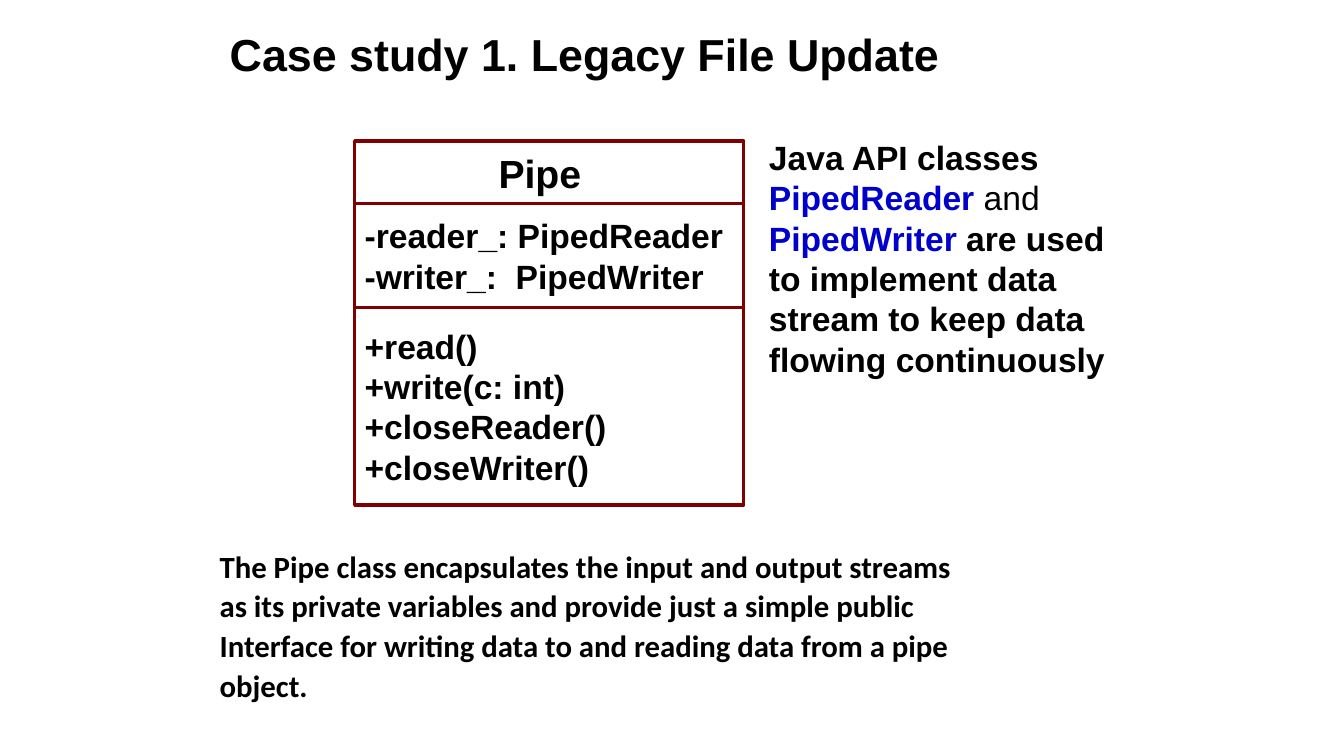
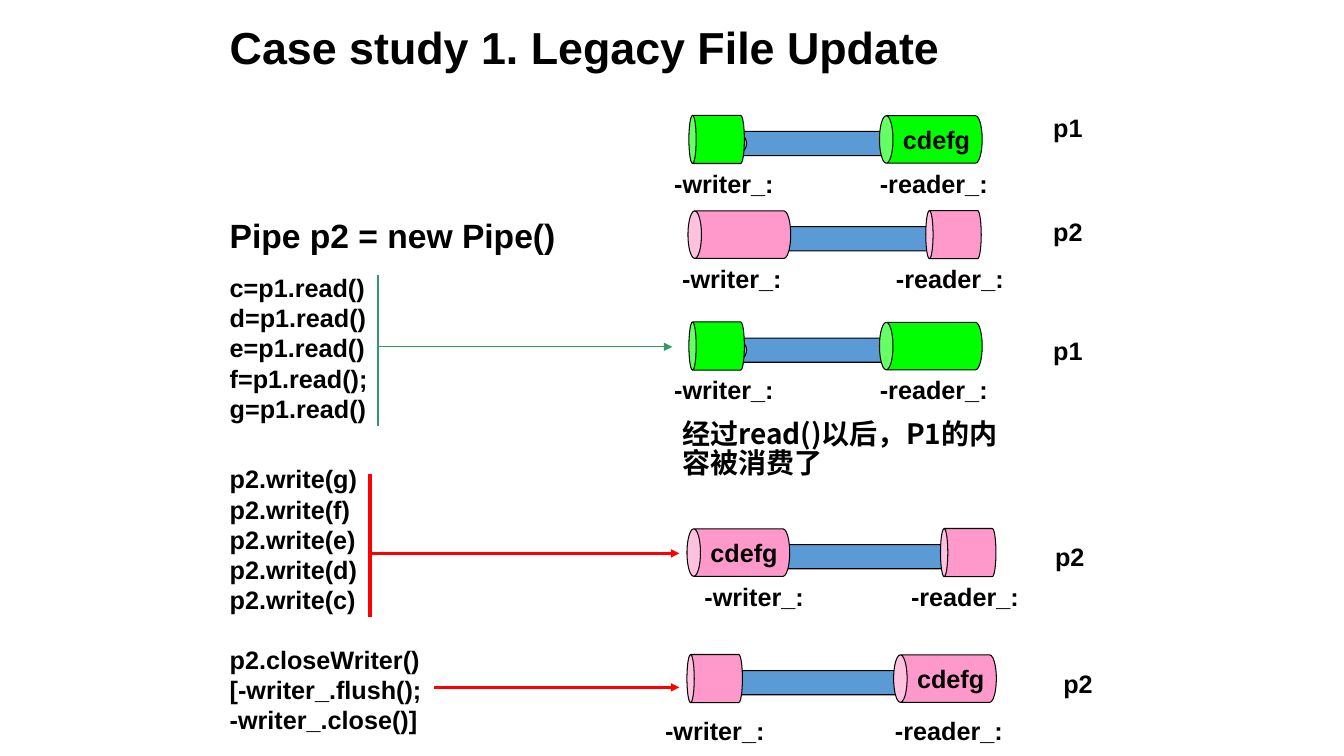
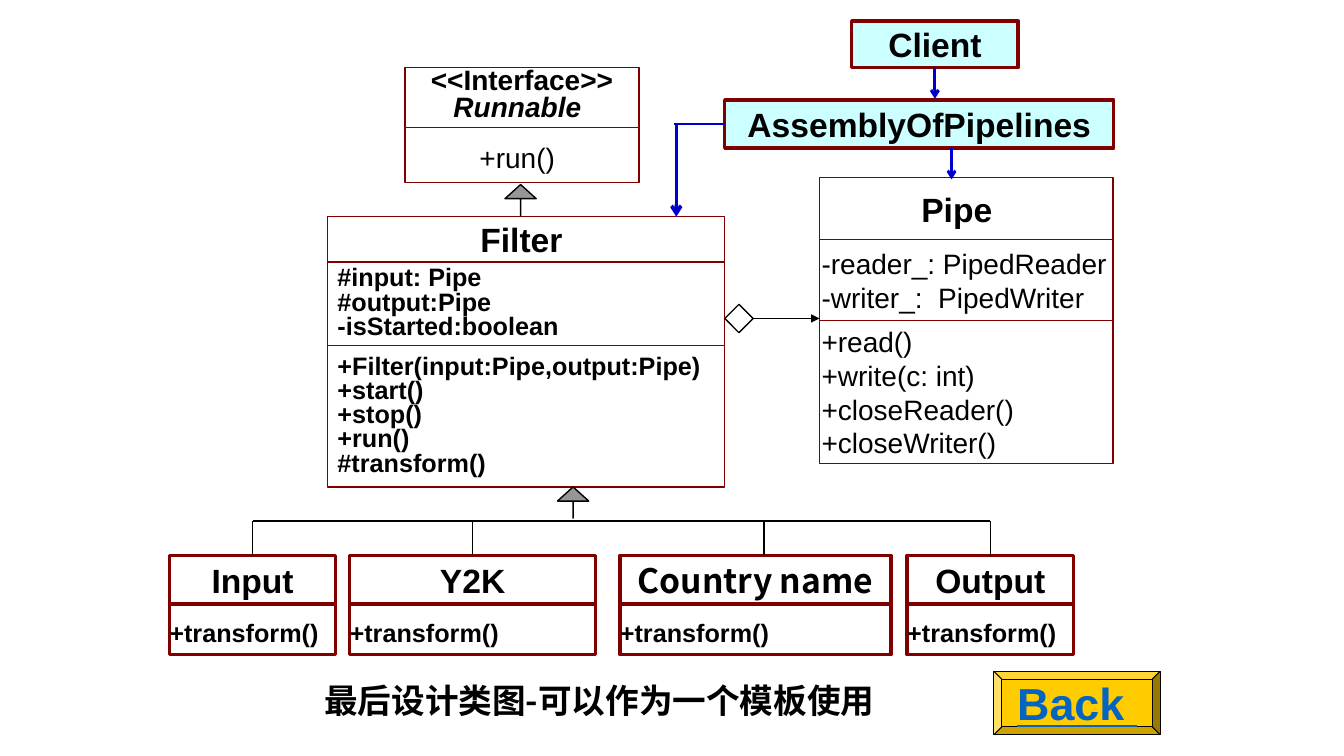
from lxml import etree
from pptx import Presentation
from pptx.dml.color import RGBColor
from pptx.enum.shapes import MSO_CONNECTOR, MSO_SHAPE
from pptx.enum.text import MSO_ANCHOR, PP_ALIGN
from pptx.oxml.ns import qn
from pptx.util import Pt

RECTANGLE, CAN, BEVEL = MSO_SHAPE.RECTANGLE, MSO_SHAPE.CAN, MSO_SHAPE.BEVEL
DIAMOND, UP_ARROW = MSO_SHAPE.DIAMOND, MSO_SHAPE.UP_ARROW
STRAIGHT = MSO_CONNECTOR.STRAIGHT
LEFT, CENTER = PP_ALIGN.LEFT, PP_ALIGN.CENTER
TOP, MIDDLE = MSO_ANCHOR.TOP, MSO_ANCHOR.MIDDLE
TOP_SITE, LEFT_SITE, BOTTOM_SITE, RIGHT_SITE = range(4)

COLORS = {
    "text": "000000", "white": "FFFFFF", "frame": "800000", "blue": "0000CC",
    "link": "0563C1", "pipe": "5B9BD5", "p1": "00FF00", "p2": "FF99CC",
    "green": "339966", "red": "FF0000", "gray": "969696", "cyan": "CCFFFF",
    "gold": "FFCC00",
}
ARIAL, CALIBRI, CJK = "Arial", "Calibri", "Noto Sans CJK SC"
INSETS = (7.2, 3.6, 7.2, 3.6)

TITLE = "Case study 1. Legacy File Update"
FIELDS = ["-reader_: PipedReader", "-writer_:  PipedWriter"]
METHODS = ["+read()", "+write(c: int)", "+closeReader()", "+closeWriter()"]

# Slide 1
SUMMARY = [
    "The Pipe class encapsulates the input and output streams",
    "as its private variables and provide just a simple public",
    "Interface for writing data to and reading data from a pipe",
    "object.",
]
API_NOTE = [
    "Java API classes",
    [("PipedReader", {"color": "blue"}), (" and ", {"bold": False}),
     ("PipedWriter ", {"color": "blue"}),
     ("are used to implement data stream to keep data flowing continuously", {})],
]
PIPE_CLASS = [
    (44.6, ["Pipe"], {"size": 28, "align": CENTER, "insets": (7.2, 3.6, 20.5, 3.6)}),
    (74.2, FIELDS, {"size": 24}),
    (141.1, METHODS, {"size": 24}),
]

# Slide 2
CODE_BLOCKS = [  # top, width, height, size, lines
    (149.8, 247, 36, 24, ["Pipe p2 = new Pipe()"]),
    (190.8, 142, 115, 18,
     ["c=p1.read()", "d=p1.read()", "e=p1.read()", "f=p1.read();", "g=p1.read()"]),
    (327.6, 113, 115, 18, [f"p2.write({letter})" for letter in "gfedc"]),
    (456.5, 181.4, 72, 18, ["p2.closeWriter()", "[-writer_.flush();", "-writer_.close()]"]),
]
CODE_LINES = [  # start, end, color, width, arrowhead
    ((270, 196.6), (270, 304.6), "green", 0.75, None),
    ((270, 247.7), (480.2, 247.7), "green", 0.75, "triangle"),
    ((264.2, 338.4), (264.2, 440.6), "red", 3, None),
    ((264.2, 395.3), (485.3, 395.3), "red", 2, "triangle"),
    ((310.3, 491), (485.3, 491), "red", 2, "triangle"),
]
P1_CENTERS, P1_LABELS = (511.9, 587.5, 664.9), (474.5, 621.4)
PIPES = [  # name, middle, (writer, pipe, reader) centers, label lefts, label top,
           # name position, long end, buffered text
    ("p1", 99.6, P1_CENTERS, P1_LABELS, 116.6, (745.2, 77), "reader", "cdefg"),
    ("p2", 167.6, (528.1, 616.3, 681.1), (480.2, 632.9), 184.3, (745.2, 151.2),
     "writer", ""),
    ("p1", 247.2, P1_CENTERS, P1_LABELS, 264.2, (745.2, 236.2), "reader", ""),
    ("p2", 394.7, (527.4, 609.8, 691.6), (496.1, 643.7), 411.8, (746.6, 383),
     "writer", "cdefg"),
    ("p2", 484.7, (510.5, 581, 675), (468, 632.2), 507.6, (752.4, 473.8),
     "reader", "cdefg"),
]
CONSUMED_NOTE = "经过read()以后，P1的内容被消费了"

# Slide 3
MEMBER_STYLE = {"size": 20, "bold": False, "insets": (1.4, 3.6, 7.2, 3.6)}
FILTER_STYLE = {"size": 18, "spacing": 0.8}
CLASSES = [  # left, top, width, sections
    (585.4, 126.7, 209.5, [
        (44.6, ["Pipe"], {"size": 24, "align": CENTER, "insets": (7.2, 3.6, 20.5, 3.6)}),
        (57.6, FIELDS, MEMBER_STYLE),
        (102.2, METHODS, MEMBER_STYLE),
    ]),
    (289.4, 48.2, 167, [
        (42.8, ["<<Interface>>",
                [("Runnable", {"italic": True}), (" ", {"size": 24})]],
         {"size": 20, "align": CENTER, "spacing": 0.7}),
        (39.6, ["+run()"], {"size": 20, "bold": False, "align": CENTER,
                            "insets": (7.2, 6.2, 13.9, 3.6)}),
    ]),
    (234, 154.8, 283.7, [
        (32.4, ["Filter "], {"size": 24, "align": CENTER}),
        (59.8, ["#input: Pipe", "#output:Pipe", "-isStarted:boolean"], FILTER_STYLE),
        (100.8, ["+Filter(input:Pipe,output:Pipe)", "+start()", "+stop()", "+run()",
                 "#transform()"], FILTER_STYLE),
    ]),
]
SUBCLASSES = [  # name, left, width, font, stem position where it is off center
    ("Input", 121, 118.8, ARIAL, None),
    ("Y2K", 249.8, 175.7, ARIAL, None),
    ("Country name", 442.8, 193.7, CJK, 545.8),
    ("Output", 648, 118.8, ARIAL, None),
]
SUBCLASS_TOP, BUS_Y = 396.7, 372.2
INHERITANCE_ARROWS = [(360.7, 131.8), (398.2, 347.8)]
CAPTION = "最后设计类图-可以作为一个模板使用"


def rgb(name):
    return RGBColor.from_string(COLORS[name])


def style_font(font, size=None, bold=None, italic=None, color=None, underline=None):
    if size is not None:
        font.size = Pt(size)
    if color is not None:
        font.color.rgb = rgb(color)
    if bold is not None:
        font.bold = bold
    if italic is not None:
        font.italic = italic
    if underline is not None:
        font.underline = underline


def write(shape, lines, size, font=ARIAL, bold=True, color="text", align=LEFT,
          anchor=MIDDLE, spacing=None, gap=0, insets=INSETS, wrap=False,
          underline=None):
    """Fill a shape; a line is a string or a list of (text, font changes)."""
    frame = shape.text_frame
    frame.word_wrap = wrap
    frame.vertical_anchor = anchor
    (frame.margin_left, frame.margin_top,
     frame.margin_right, frame.margin_bottom) = map(Pt, insets)
    for index, line in enumerate(lines):
        paragraph = frame.add_paragraph() if index else frame.paragraphs[0]
        paragraph.alignment = align
        if spacing:
            paragraph.line_spacing = spacing
        if index and gap:
            paragraph.space_before = Pt(gap)
        style_font(paragraph.font, size, bold, None, color, underline)
        paragraph.font.name = font
        if font == CJK:
            defaults = paragraph._p.pPr.find(qn("a:defRPr"))
            etree.SubElement(defaults, qn("a:ea")).set("typeface", font)
        for text, changes in [(line, {})] if isinstance(line, str) else line:
            run = paragraph.add_run()
            run.text = text
            style_font(run.font, **changes)


def add_text(slide, left, top, width, height, lines, size, **style):
    box = slide.shapes.add_textbox(Pt(left), Pt(top), Pt(width), Pt(height))
    write(box, lines, size, **{"anchor": TOP, **style})


def add_title(slide, top):
    add_text(slide, 157, top, 652.3, 42.5, [TITLE], 32, spacing=0.9)


def add_figure(slide, kind, left, top, width, height, fill, line="text",
               line_width=1, adjustments=()):
    shape = slide.shapes.add_shape(kind, Pt(left), Pt(top), Pt(width), Pt(height))
    shape.shadow.inherit = False
    if fill:
        shape.fill.solid()
        shape.fill.fore_color.rgb = rgb(fill)
    else:
        shape.fill.background()
    shape.line.color.rgb = rgb(line)
    shape.line.width = Pt(line_width)
    for index, value in enumerate(adjustments):
        shape.adjustments[index] = value
    return shape


def add_class(slide, left, top, width, sections, line_width, fill="white"):
    """Stack the sections of a class box and return the top one."""
    shapes = []
    for height, lines, style in sections:
        shape = add_figure(slide, RECTANGLE, left, top, width, height, fill,
                           "frame", line_width)
        write(shape, lines, **style)
        shapes.append(shape)
        top += height
    return shapes[0]


def add_line(slide, start, end, color="text", width=1, arrowhead=None):
    connector = slide.shapes.add_connector(STRAIGHT, *map(Pt, start + end))
    connector.line.color.rgb = rgb(color)
    connector.line.width = Pt(width)
    properties = connector._element.spPr
    if arrowhead:
        outline = properties.find(qn("a:ln"))
        etree.SubElement(outline, qn("a:tailEnd")).set("type", arrowhead)
    etree.SubElement(properties, qn("a:effectLst"))
    return connector


def add_lying_can(slide, center, middle, length, diameter, fill, adjustment):
    can = add_figure(slide, CAN, center - diameter / 2, middle - length / 2,
                     diameter, length, fill, "text", 0.75, [adjustment])
    can.rotation = 270
    return can


def add_pipe(slide, name, middle, centers, label_lefts, label_top, name_position,
             long_end, buffered):
    writer, pipe, reader = centers
    long_center, short_center = (
        (writer, reader) if long_end == "writer" else (reader, writer))
    add_lying_can(slide, pipe, middle + 2.9, 147.6, 17.3, "pipe", 1.133)
    add_lying_can(slide, short_center, middle, 39.6, 34.4, name, 0.151)
    buffer_can = add_lying_can(slide, long_center, middle, 73.4, 34, name, 0.284)
    if buffered:
        write(buffer_can, [buffered], 18, align=CENTER)
        buffer_can.text_frame._txBody.bodyPr.set("vert", "eaVert")
    for label, left, width in zip(("-writer_:", "-reader_:"), label_lefts, (85.7, 91.4)):
        add_text(slide, left, label_top, width, 28.8, [label], 18)
    add_text(slide, *name_position, 35.3, 28.8, [name], 18)


def build_pipe_class(slide):
    add_title(slide, 20.2)
    add_class(slide, 253.4, 100.8, 277.9, PIPE_CLASS, 2.5)
    add_text(slide, 542.2, 94.3, 254.9, 181.4, API_NOTE, 24, wrap=True)
    add_text(slide, 149.8, 394.6, 648, 113, SUMMARY, 22, font=CALIBRI,
             spacing=0.7, gap=10, wrap=True)


def build_data_flow(slide):
    add_title(slide, 15.1)
    for top, width, height, size, lines in CODE_BLOCKS:
        add_text(slide, 157, top, width, height, lines, size)
    for pipe in PIPES:
        add_pipe(slide, *pipe)
    for line in CODE_LINES:
        add_line(slide, *line)
    add_text(slide, 480.2, 298.1, 244, 55.4, [CONSUMED_NOTE], 20, font=CJK,
             spacing=0.84, wrap=True)


def build_class_diagram(slide):
    for left, top, width, sections in CLASSES:
        add_class(slide, left, top, width, sections, 1)

    add_line(slide, (180.7, BUS_Y), (707, BUS_Y))
    for name, left, width, font, stem in SUBCLASSES:
        sections = [
            (34.6, [name], {"size": 24, "font": font, "align": CENTER}),
            (36.4, ["+transform()"], {"size": 18, "insets": (0, 7.6, 7.2, 3.6)}),
        ]
        header = add_class(slide, left, SUBCLASS_TOP, width, sections, 2.5, None)
        x = stem or left + width / 2
        line = add_line(slide, (x, BUS_Y), (x, SUBCLASS_TOP))
        if stem is None:
            line.end_connect(header, TOP_SITE)
    for left, top in INHERITANCE_ARROWS:
        add_figure(slide, UP_ARROW, left, top, 22.3, 22.3, "gray",
                   adjustments=(0, 0.453))

    diamond = add_figure(slide, DIAMOND, 517.7, 217.4, 20.2, 20.2, "white")
    association = add_line(slide, (537.9, 227.5), (585.4, 227.5), arrowhead="triangle")
    association.begin_connect(diamond, RIGHT_SITE)

    heading = {"size": 24, "align": CENTER}
    client = add_class(slide, 608.4, 15.1, 118.8, [(33.1, ["Client"], heading)],
                       2.5, "cyan")
    assembly = add_class(slide, 517.7, 71.3, 277.9,
                         [(34.6, ["AssemblyOfPipelines"], heading)], 2.5, "cyan")
    use = add_line(slide, (667.8, 48.2), (667.8, 70.6), "blue", 2, "arrow")
    use.begin_connect(client, BOTTOM_SITE)
    add_line(slide, (679.7, 105.9), (679.7, 128.2), "blue", 2, "arrow")
    branch = add_line(slide, (517.7, 88.6), (481.7, 88.6), "blue", 2)
    branch.begin_connect(assembly, LEFT_SITE)
    add_line(slide, (483.1, 88.6), (483.1, 154.8), "blue", 2.5, "arrow")

    button = add_figure(slide, BEVEL, 709.9, 479.5, 118.8, 45.4, "gold",
                        line_width=0.75, adjustments=[0.125])
    write(button, ["Back "], 32, color="link", align=CENTER, underline=True)
    add_text(slide, 224.6, 485.3, 419.8, 36, [CAPTION], 24, font=CJK,
             spacing=0.9, wrap=True)


def main():
    presentation = Presentation()
    presentation.slide_width, presentation.slide_height = Pt(960), Pt(540)
    blank = presentation.slide_layouts[6]
    for build in (build_pipe_class, build_data_flow, build_class_diagram):
        build(presentation.slides.add_slide(blank))
    presentation.save("out.pptx")


if __name__ == "__main__":
    main()
